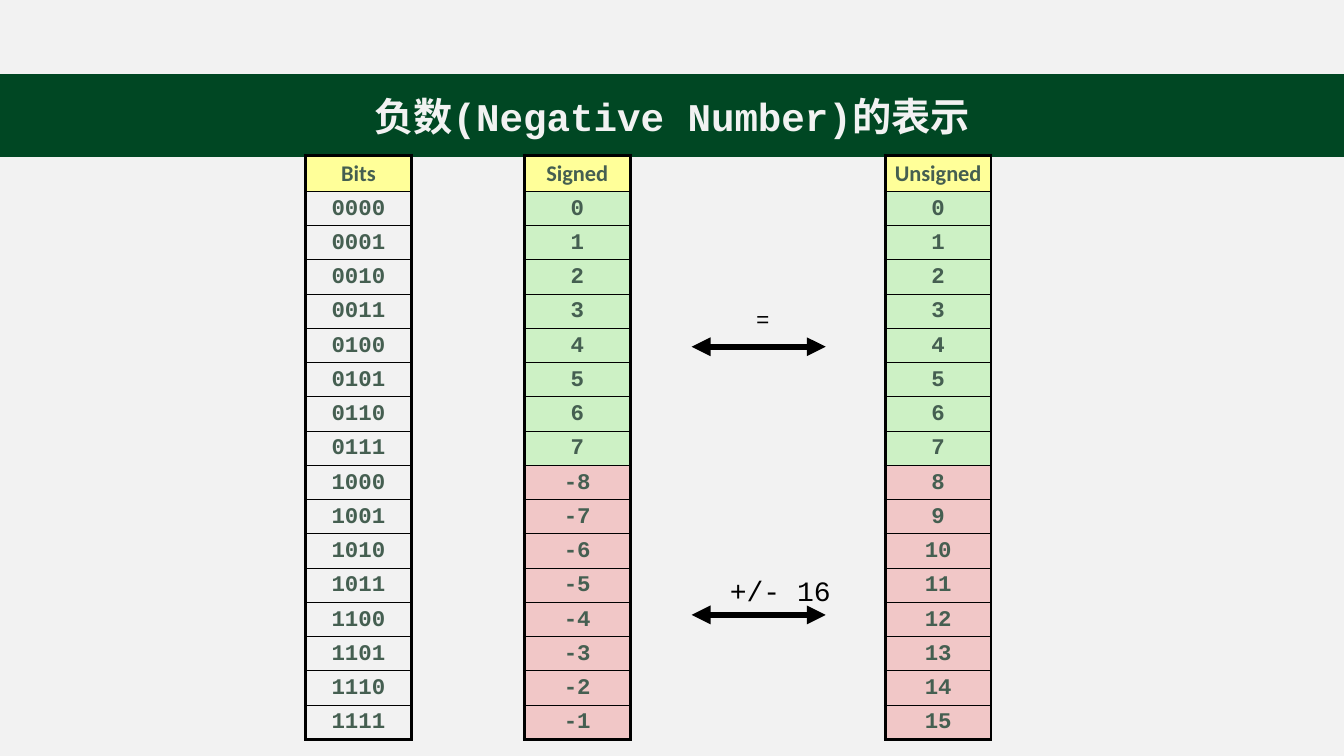
from lxml import etree
from pptx import Presentation
from pptx.dml.color import RGBColor
from pptx.enum.shapes import MSO_CONNECTOR, MSO_SHAPE
from pptx.enum.text import MSO_ANCHOR, MSO_AUTO_SIZE, PP_ALIGN
from pptx.oxml.ns import qn
from pptx.util import Inches, Pt


def color(hex_code):
    return RGBColor.from_string(hex_code)


def style(paragraph, size, font_name, hex_code, bold=False, align=PP_ALIGN.CENTER):
    paragraph.alignment = align
    font = paragraph.runs[0].font
    font.size, font.name, font.bold = Pt(size), font_name, bold
    font.color.rgb = color(hex_code)


presentation = Presentation()
presentation.slide_width, presentation.slide_height = Inches(13.33), Inches(7.5)
slide = presentation.slides.add_slide(presentation.slide_layouts[6])
slide.background.fill.solid()
slide.background.fill.fore_color.rgb = color("F2F2F2")

# Title band
band = slide.shapes.add_shape(MSO_SHAPE.RECTANGLE, 0, Inches(0.74), Inches(13.33), Inches(0.81))
band.shadow.inherit = False
band.fill.solid()
band.fill.fore_color.rgb = color("004723")
band.line.color.rgb = color("004723")
band.line.width = Pt(1)
band.text_frame.text = "负数(Negative Number)的表示"
band.text_frame.vertical_anchor = MSO_ANCHOR.MIDDLE
style(band.text_frame.paragraphs[0], 28, "Courier New", "F2F2F2", bold=True)

# Number tables: heading, left edge, values, fills of the lower and upper half
HALF = 8
numbers = range(2 * HALF)
signed = [n if n < HALF else n - 2 * HALF for n in numbers]
columns = [
    ("Signed", 5.2, signed, "CDF1C5", "F1C7C7"),
    ("Unsigned", 8.78, numbers, "CDF1C5", "F1C7C7"),
    ("Bits", 3.03, [f"{n:04b}" for n in numbers], None, None),
]
for heading, left, values, low_fill, high_fill in columns:
    texts = [heading, *map(str, values)]
    table = slide.shapes.add_table(
        len(texts), 1, Inches(left), Inches(1.54), Inches(1.05), Inches(5.79)).table
    table.horz_banding = False
    for index, text in enumerate(texts):
        table.rows[index].height = Inches(0.34 if index else 0.35)
        cell = table.cell(index, 0)
        cell.margin_left = cell.margin_right = Inches(0.05)
        cell.margin_top = cell.margin_bottom = Inches(0.05)
        cell.text_frame.text = text
        paragraph = cell.text_frame.paragraphs[0]
        paragraph.line_spacing = 0.95
        style(paragraph, 16, "Courier New" if index else "Calibri", "455F51", bold=True)

        fill = "FFFF99" if index == 0 else low_fill if index <= HALF else high_fill
        if fill:
            cell.fill.solid()
            cell.fill.fore_color.rgb = color(fill)
        else:
            cell.fill.background()

        # Thick outline around the table, thin lines between rows
        top = 2.25 if index == 0 else 1
        bottom = 2.25 if index == len(texts) - 1 else 1
        borders = [("a:lnL", 2.25), ("a:lnR", 2.25), ("a:lnT", top), ("a:lnB", bottom)]
        properties = cell._tc.get_or_add_tcPr()
        for position, (tag, width) in enumerate(borders):
            border = etree.Element(qn(tag), w=str(Pt(width)))
            solid = etree.SubElement(border, qn("a:solidFill"))
            etree.SubElement(solid, qn("a:srgbClr"), val="000000")
            properties.insert(position, border)

# Double arrows with their labels
arrows = [
    (3.44, "=", 16, (7.45, 2.98, 0.22, 0.37), 0.05, PP_ALIGN.CENTER, MSO_ANCHOR.TOP),
    (6.1, "+/- 16", 20, (7.14, 5.65, 0.48, 0.42), 0.1, PP_ALIGN.LEFT, MSO_ANCHOR.MIDDLE),
]
for y, text, size, box, margin, align, anchor in arrows:
    group = slide.shapes.add_group_shape()
    arrow = group.shapes.add_connector(
        MSO_CONNECTOR.STRAIGHT, Inches(8.19), Inches(y), Inches(6.86), Inches(y))
    arrow.line.color.rgb = color("000000")
    arrow.line.width = Pt(4.5)
    for tag in ("a:headEnd", "a:tailEnd"):
        etree.SubElement(arrow.line._get_or_add_ln(), qn(tag), type="triangle")
    etree.SubElement(arrow._element.spPr, qn("a:effectLst"))

    label = group.shapes.add_textbox(*map(Inches, box))
    frame = label.text_frame
    frame.word_wrap = False
    frame.auto_size = MSO_AUTO_SIZE.SHAPE_TO_FIT_TEXT if text == "=" else MSO_AUTO_SIZE.NONE
    frame.vertical_anchor = anchor
    frame.margin_left = frame.margin_right = Inches(margin)
    frame.margin_top = frame.margin_bottom = Inches(0.05)
    frame.text = text
    style(frame.paragraphs[0], size, "Courier New", "000000", align=align)

presentation.save("out.pptx")
